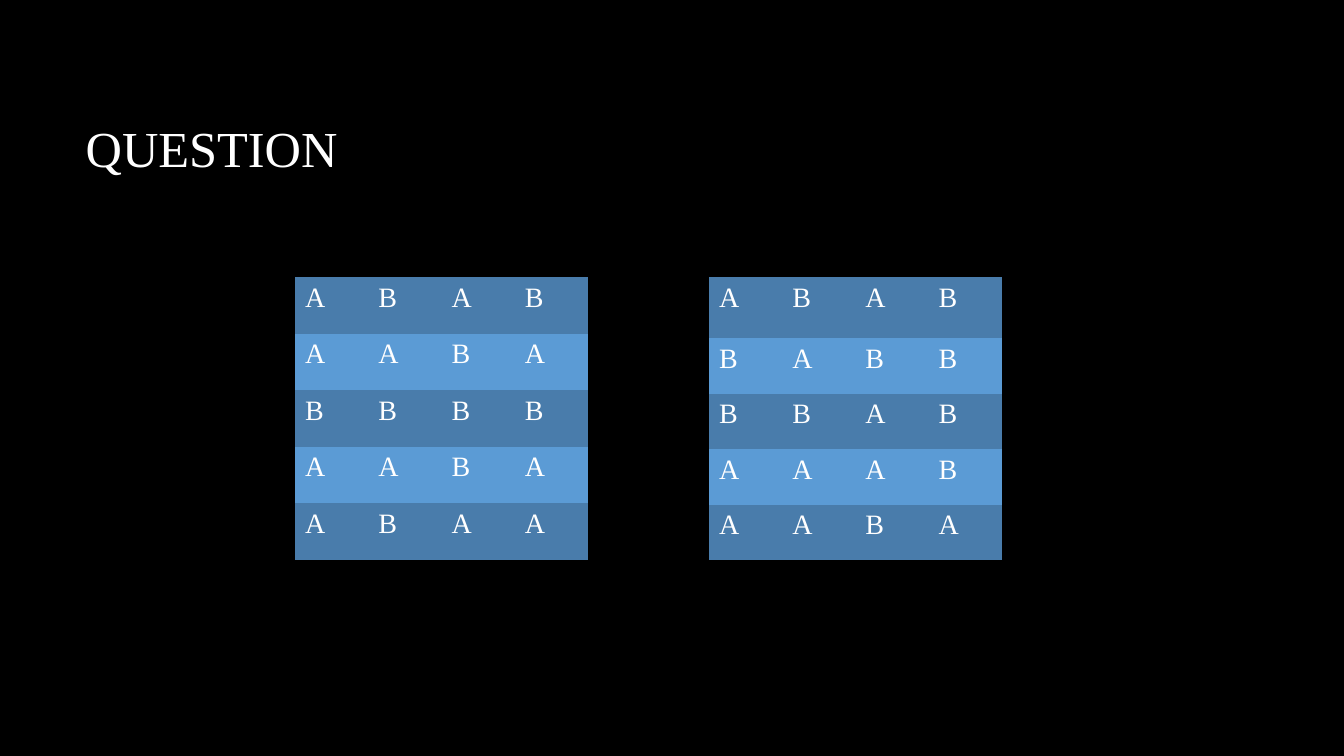
from dataclasses import dataclass

from pptx import Presentation
from pptx.dml.color import RGBColor
from pptx.enum.text import MSO_ANCHOR, PP_ALIGN
from pptx.oxml.ns import qn
from pptx.util import Pt


@dataclass(frozen=True)
class Theme:
    background = RGBColor(0x00, 0x00, 0x00)
    text = RGBColor(0xFF, 0xFF, 0xFF)
    bands = (RGBColor(0x49, 0x7C, 0xAB), RGBColor(0x5B, 0x9B, 0xD5))
    font = "Times New Roman"
    title_size = Pt(36)
    cell_size = Pt(20)


theme = Theme()
PLAIN_TABLE_STYLE = "{2D5ABB26-0587-4C30-8999-92F81FD0307C}"


def format_text(paragraph, size):
    for run in paragraph.runs:
        run.font.name = theme.font
        run.font.size = size
        run.font.color.rgb = theme.text


# Slide and background
presentation = Presentation()
presentation.slide_width = Pt(960)
presentation.slide_height = Pt(540)
slide = presentation.slides.add_slide(presentation.slide_layouts[5])
slide.background.fill.solid()
slide.background.fill.fore_color.rgb = theme.background

# Title
title = slide.shapes.title
title.left, title.top, title.width, title.height = Pt(54), Pt(48), Pt(798), Pt(114.5)
title.text_frame.text = "QUESTION"
title.text_frame.vertical_anchor = MSO_ANCHOR.MIDDLE
title_paragraph = title.text_frame.paragraphs[0]
title_paragraph.alignment = PP_ALIGN.LEFT
format_text(title_paragraph, theme.title_size)

# Letter grids: left edge, first row height, other row height, rows
grids = [
    (210.8, 40.4, 40.4, ["ABAB", "AABA", "BBBB", "AABA", "ABAA"]),
    (506.4, 43.6, 39.6, ["ABAB", "BABB", "BBAB", "AAAB", "AABA"]),
]
grid_top, column_width = 198, 52.3

for left, first_height, other_height, rows in grids:
    column_count = len(rows[0])
    grid_height = first_height + other_height * (len(rows) - 1)
    frame = slide.shapes.add_table(
        len(rows), column_count, Pt(left), Pt(grid_top),
        Pt(column_width * column_count), Pt(grid_height))
    table = frame.table
    table.first_row = False
    table.horz_banding = False
    # Style without grid lines
    table._tbl.tblPr.find(qn("a:tableStyleId")).text = PLAIN_TABLE_STYLE

    for column in table.columns:
        column.width = Pt(column_width)
    for row_index, letters in enumerate(rows):
        table.rows[row_index].height = Pt(other_height if row_index else first_height)
        for column_index, letter in enumerate(letters):
            cell = table.cell(row_index, column_index)
            cell.fill.solid()
            cell.fill.fore_color.rgb = theme.bands[row_index % 2]
            cell.text_frame.text = letter
            format_text(cell.text_frame.paragraphs[0], theme.cell_size)

presentation.save("out.pptx")
